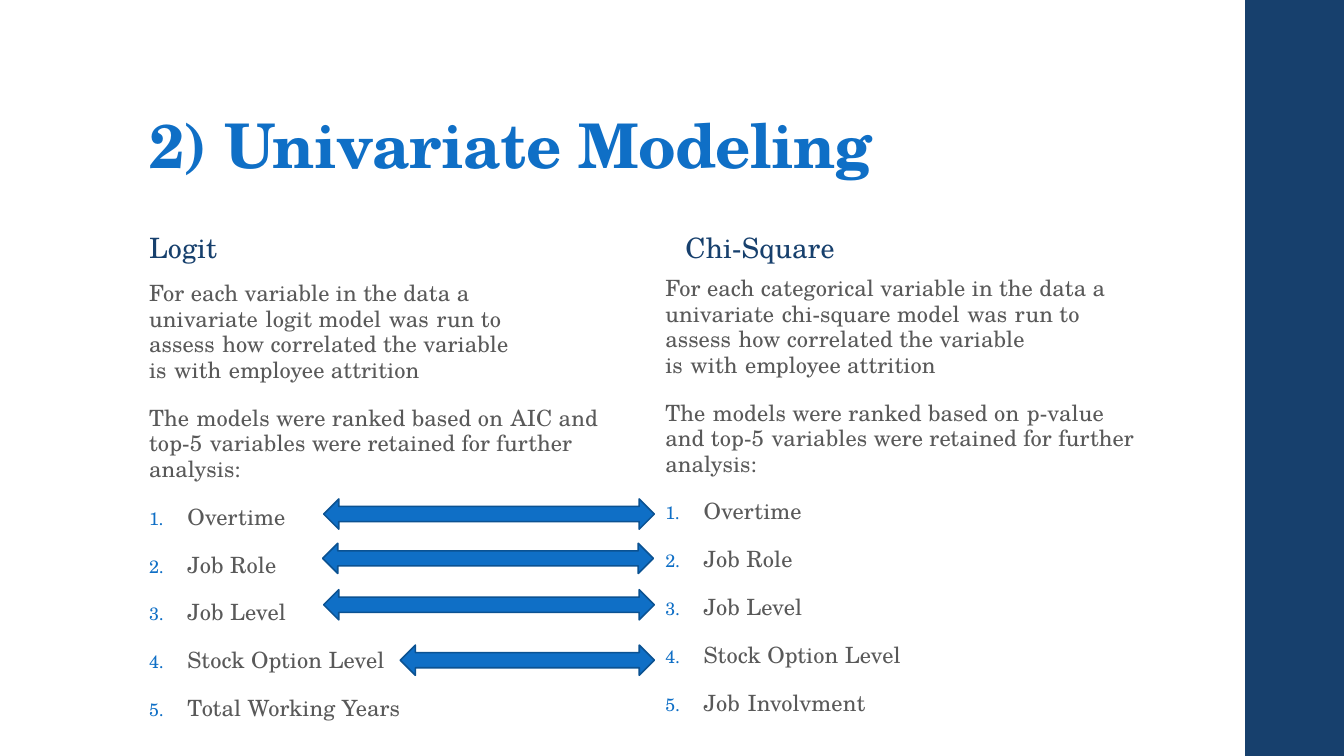
from pptx import Presentation
from pptx.dml.color import RGBColor
from pptx.enum.shapes import MSO_SHAPE as Shape
from pptx.enum.text import MSO_ANCHOR as Anchor, MSO_AUTO_SIZE as AutoSize, PP_ALIGN as Align
from pptx.oxml import parse_xml
from pptx.oxml.ns import nsdecls
from pptx.util import Inches, Pt

COLORS = {"blue": "0F6FC6", "navy": "17406D", "gray": "595959", "outline": "0B5292"}
FONT = "TeX Gyre Schola"
HARD_SPACE = chr(160)


def add_text(paragraph, text, size, color, spacing, bold=False):
    paragraph.alignment = Align.LEFT
    run = paragraph.add_run()
    run.text = text.replace("~", HARD_SPACE)
    run.font.name = FONT
    run.font.size = Pt(size)
    run.font.bold = bold
    run.font.color.rgb = RGBColor.from_string(COLORS[color])
    run.font._element.set("spc", str(spacing))


def add_box(left, top, width, height, anchor):
    frame = slide.shapes.add_textbox(Inches(left), Inches(top), Inches(width), Inches(height)).text_frame
    frame.word_wrap = True
    frame.vertical_anchor = anchor
    return frame


presentation = Presentation()
presentation.slide_width = Inches(13.33)
presentation.slide_height = Inches(7.5)
slide = presentation.slides.add_slide(presentation.slide_layouts[5])

sidebar = slide.shapes.add_shape(Shape.RECTANGLE, Inches(12.35), 0, Inches(1), Inches(7.5))
sidebar.shadow.inherit = False
sidebar.fill.solid()
sidebar.fill.fore_color.rgb = RGBColor.from_string(COLORS["navy"])
sidebar.line.fill.background()

title = slide.shapes.title
title.left, title.top, title.width, title.height = Inches(1.38), Inches(0.29), Inches(10.6), Inches(1.56)
title_frame = title.text_frame
title_frame.auto_size = AutoSize.NONE
title_frame.word_wrap = True
title_frame.vertical_anchor = Anchor.BOTTOM
title_frame.margin_top = Inches(0.03)
title_frame.paragraphs[0].line_spacing = 0.9
add_text(title_frame.paragraphs[0], "2) Univariate Modeling", 44, "blue", -50, True)

shared_variables = ["Overtime", "Job Role", "Job Level", "Stock Option Level"]
columns = [
    ("Logit", 1.38, 1.38, 2.74,
     ["For each variable in the data a univariate~logit model~was~run to assess~how correlated the variable is~with~employee attrition",
      "The~models were ranked based on~AIC and top-5~variables were retained for further analysis:"],
     "Total Working Years"),
    ("Chi-Square", 6.7, 6.5, 2.69,
     ["For each categorical variable in the data a univariate~chi-square model~was~run to assess~how correlated the variable is~with~employee attrition",
      "The~models were ranked based on~p-value and top-5~variables were retained for further analysis:"],
     "Job~Involvment"),
]

for heading, heading_left, body_left, body_top, intro, last_variable in columns:
    heading_frame = add_box(heading_left, 1.88, 4.9, 0.8, Anchor.BOTTOM)
    heading_paragraph = heading_frame.paragraphs[0]
    heading_paragraph.line_spacing = 0.95
    heading_paragraph.space_after = Pt(2)
    add_text(heading_paragraph, heading, 20, "navy", 10)

    body_frame = add_box(body_left, body_top, 4.9, 7.33 - body_top, Anchor.TOP)
    for index, text in enumerate(intro + shared_variables + [last_variable]):
        paragraph = body_frame.add_paragraph() if index else body_frame.paragraphs[0]
        paragraph.line_spacing = 0.95
        paragraph.space_before = Pt(14 if index else 0)
        paragraph.space_after = Pt(2)
        if index >= len(intro):
            properties = paragraph._p.get_or_add_pPr()
            properties.set("marL", str(Inches(0.38)))
            properties.set("indent", str(Inches(-0.38)))
            for bullet in (
                f'<a:buClr {nsdecls("a")}><a:srgbClr val="{COLORS["blue"]}"/></a:buClr>',
                f'<a:buSzPct {nsdecls("a")} val="80000"/>',
                f'<a:buFont {nsdecls("a")} typeface="+mj-lt"/>',
                f'<a:buAutoNum {nsdecls("a")} type="arabicPeriod"/>',
            ):
                properties.append(parse_xml(bullet))
        add_text(paragraph, text, 16, "gray", 10)

for left, top, width in [(3.21, 4.95, 3.28), (3.2, 5.39, 3.28), (3.21, 5.85, 3.28), (3.97, 6.4, 2.52)]:
    arrow = slide.shapes.add_shape(Shape.LEFT_RIGHT_ARROW, Inches(left), Inches(top), Inches(width), Inches(0.3))
    arrow.shadow.inherit = False
    arrow.fill.solid()
    arrow.fill.fore_color.rgb = RGBColor.from_string(COLORS["blue"])
    arrow.line.color.rgb = RGBColor.from_string(COLORS["outline"])
    arrow.line.width = Pt(1.1)

presentation.save("out.pptx")
